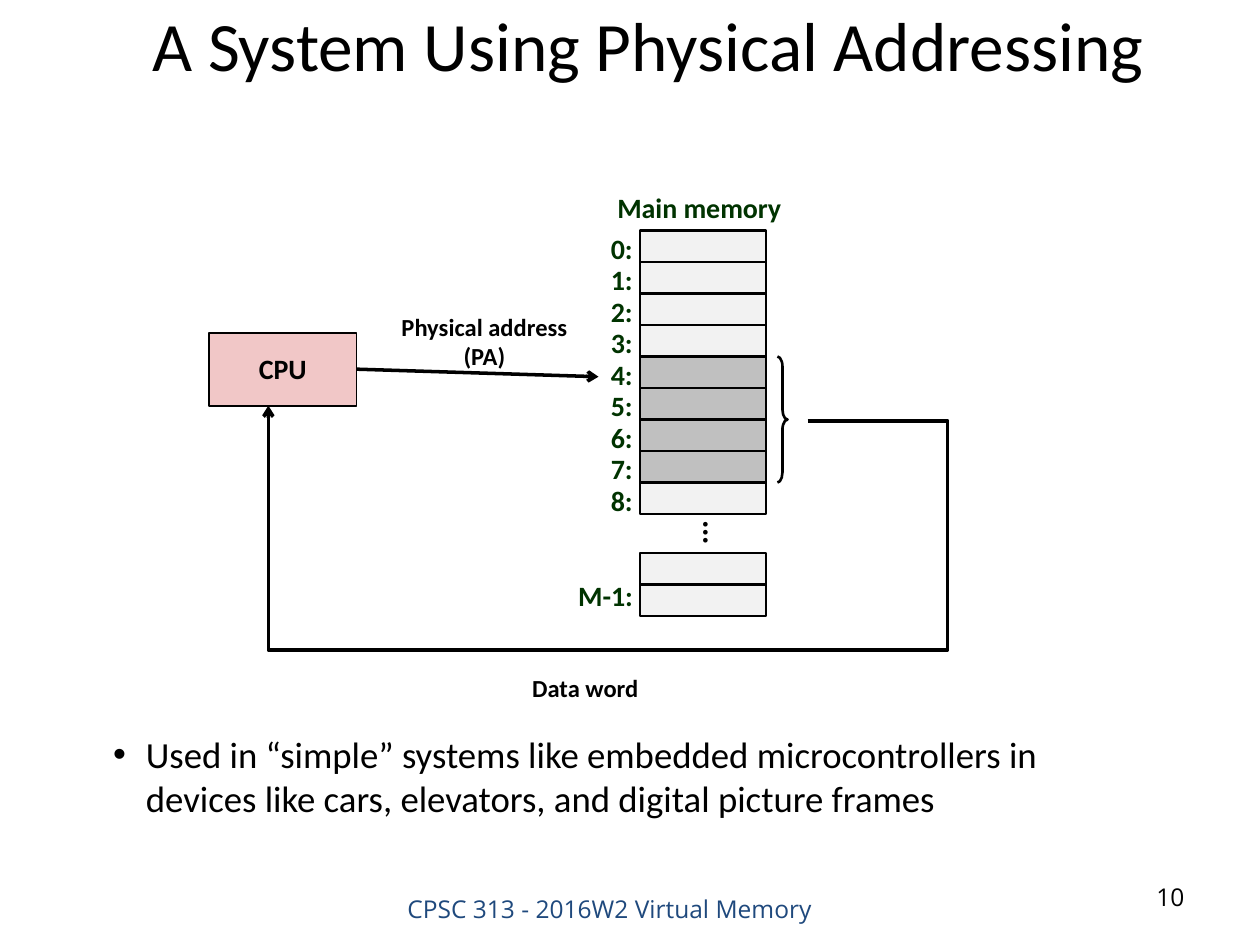
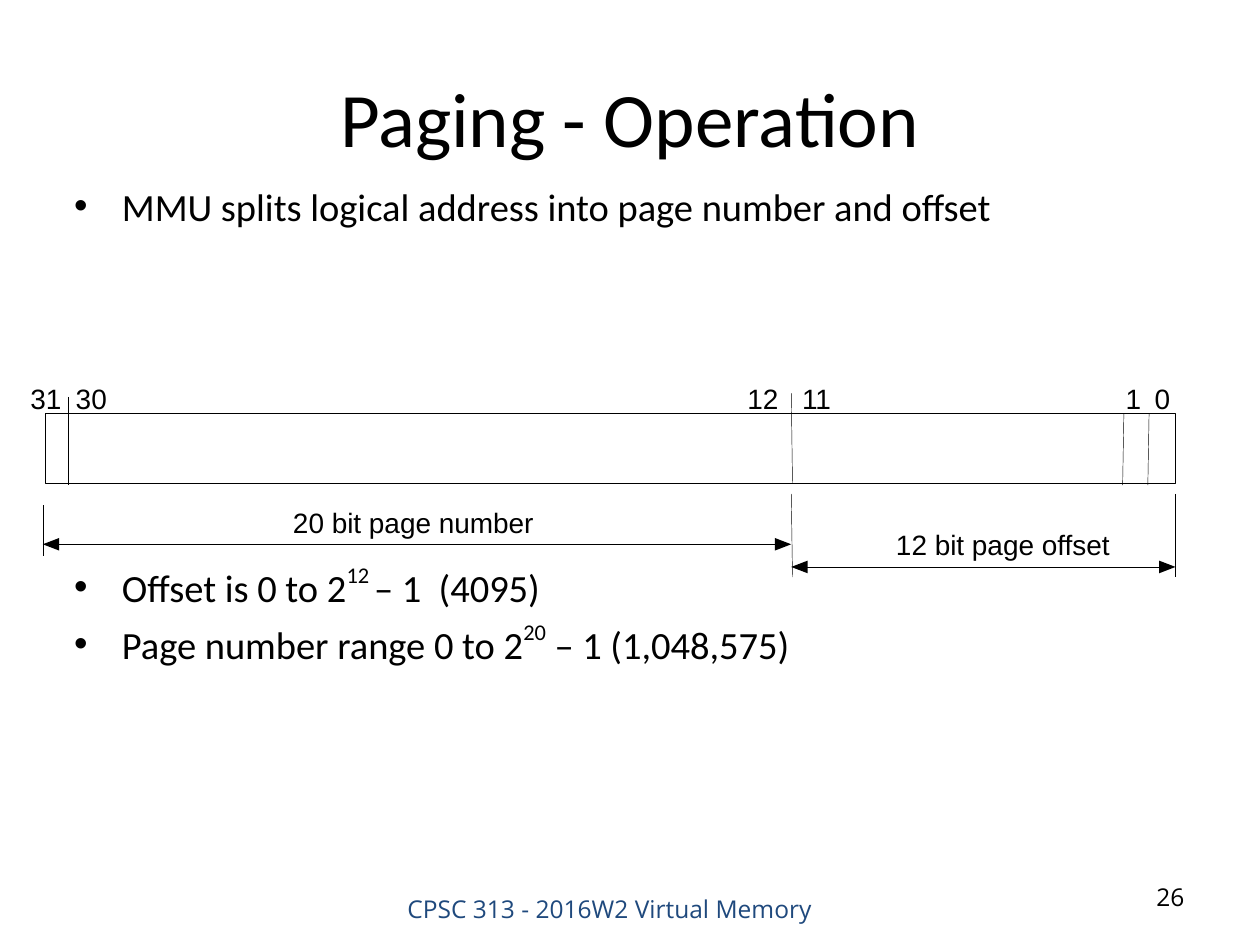
from lxml import etree
from pptx import Presentation
from pptx.dml.color import RGBColor
from pptx.enum.shapes import MSO_CONNECTOR, MSO_SHAPE
from pptx.enum.text import MSO_ANCHOR, MSO_AUTO_SIZE, PP_ALIGN
from pptx.oxml.ns import qn
from pptx.util import Inches, Pt

LEFT, CENTER, RIGHT = PP_ALIGN.LEFT, PP_ALIGN.CENTER, PP_ALIGN.RIGHT
TOP, MIDDLE = MSO_ANCHOR.TOP, MSO_ANCHOR.MIDDLE
NO_AUTOFIT = MSO_AUTO_SIZE.NONE
RECTANGLE, RIGHT_BRACE = MSO_SHAPE.RECTANGLE, MSO_SHAPE.RIGHT_BRACE
STRAIGHT = MSO_CONNECTOR.STRAIGHT

THEME = {
    "font": "Calibri", "footer_font": "Open Sans", "diagram_font": "Arial",
    "black": "000000", "footer": "1F497D", "memory": "003300",
    "cpu": "F1C7C7", "cell": "F2F2F2", "word": "C0C0C0",
    "small": 14, "label": 16, "dots": 18, "body": 21, "paging_body": 22,
    "title": 39.6, "paging_title": 44, "hairline": 0.25,
}


def write(shape, text, size, color="black", font="font", bold=False,
          align=LEFT, anchor=TOP, wrap=False, spacing=None):
    frame = shape.text_frame
    frame.text = text
    frame.auto_size = NO_AUTOFIT
    frame.word_wrap = wrap
    frame.vertical_anchor = anchor
    for paragraph in frame.paragraphs:
        paragraph.alignment = align
        paragraph.line_spacing = spacing
        for run in paragraph.runs:
            run.font.size = Pt(THEME[size])
            run.font.name = THEME[font]
            run.font.bold = bold
            run.font.color.rgb = RGBColor.from_string(THEME[color])


def paint(shape, weight, fill=None, arrow=False):
    if weight is None:
        shape.line.fill.background()
    else:
        shape.line.color.rgb = RGBColor.from_string(THEME["black"])
        shape.line.width = Pt(weight)
    properties = shape.element.spPr
    if arrow:
        etree.SubElement(properties.find(qn("a:ln")), qn("a:tailEnd"), type="arrow")
    if not hasattr(shape, "fill"):
        etree.SubElement(properties, qn("a:effectLst"))
        return
    shape.shadow.inherit = False
    if fill:
        shape.fill.solid()
        shape.fill.fore_color.rgb = RGBColor.from_string(THEME[fill])
    else:
        shape.fill.background()


presentation = Presentation()
presentation.slide_width, presentation.slide_height = Inches(10), Inches(7.5)

slides = []
for title_text, title_size, title_box, number in (
    ("A System Using Physical Addressing", "title", (0.38, 0, 9.53, 0.7), "10"),
    ("Paging - Operation", "paging_title", (0.5, 0.3, 9, 1.25), "26"),
):
    slide = presentation.slides.add_slide(presentation.slide_layouts[5])
    title = slide.shapes.title
    title.left, title.top, title.width, title.height = map(Inches, title_box)
    write(title, title_text, title_size, align=CENTER, anchor=MIDDLE, wrap=True)
    footer = slide.shapes.add_textbox(*map(Inches, (2.71, 7.05, 4.26, 0.3)))
    write(footer, "CPSC 313 - 2016W2 Virtual Memory", "small", "footer",
          "footer_font", align=CENTER, wrap=True)
    page = slide.shapes.add_textbox(*map(Inches, (7.17, 6.95, 2.33, 0.4)))
    write(page, number, "small", font="footer_font", align=RIGHT, wrap=True)
    slides.append(slide)
addressing, paging = (slide.shapes for slide in slides)

usage = addressing.add_textbox(*map(Inches, (0.8, 5.76, 8.04, 0.81)))
write(usage, "Used in “simple” systems like embedded microcontrollers in devices "
      "like cars, elevators, and digital picture frames", "body", wrap=True)

cpu = addressing.add_shape(RECTANGLE, *map(Inches, (1.66, 2.64, 1.17, 0.58)))
paint(cpu, 1, "cpu")
write(cpu, "CPU", "label", bold=True, align=CENTER, anchor=MIDDLE, spacing=0.98)

CELL_LEFT, CELL_TOP, CELL_WIDTH, CELL_HEIGHT = 5.08, 1.83, 1, 0.25
cells = [(CELL_TOP + CELL_HEIGHT * index, f"{index}:") for index in range(9)]
cells += [(4.39, ""), (4.39 + CELL_HEIGHT, "M-1:")]
for index, (top, address) in enumerate(cells):
    cell = addressing.add_shape(
        RECTANGLE, *map(Inches, (CELL_LEFT, top, CELL_WIDTH, CELL_HEIGHT)))
    paint(cell, 1.5, "word" if 4 <= index <= 7 else "cell")
    if address:
        left, width, lift = (4.75, 0.37, 0.01) if len(address) == 2 else (4.49, 0.64, 0.06)
        label = addressing.add_textbox(*map(Inches, (left, top - lift, width, 0.33)))
        write(label, address, "label", "memory", bold=True, spacing=0.88)

heading = addressing.add_textbox(*map(Inches, (4.79, 1.5, 1.52, 0.33)))
write(heading, "Main memory", "label", "memory", bold=True, align=CENTER, spacing=0.88)

for text, box in (
    ("Physical address\n(PA)", (3.08, 2.44, 1.53, 0.56)),
    ("Data word", (4.12, 5.3, 1.05, 0.33)),
):
    caption = addressing.add_textbox(*map(Inches, box))
    write(caption, text, "small", bold=True, align=CENTER, anchor=MIDDLE, spacing=0.98)

dots = addressing.add_textbox(*map(Inches, (5.17, 4.03, 1, 0.25)))
write(dots, "...", "dots", bold=True, align=CENTER, anchor=MIDDLE, spacing=0.98)
dots.text_frame._txBody.bodyPr.set("vert", "eaVert")

brace = addressing.add_shape(RIGHT_BRACE, *map(Inches, (6.17, 2.83, 0.08, 1)))
brace.adjustments[0] = 1
paint(brace, 1.5)

address_arrow = addressing.add_connector(
    STRAIGHT, *map(Inches, (2.83, 2.93, 4.75, 2.99)))
address_arrow.begin_connect(cpu, 3)
paint(address_arrow, 2, arrow=True)

builder = addressing.build_freeform(Inches(6.41), Inches(3.34))
builder.add_line_segments(
    [(Inches(x), Inches(y)) for x, y in
     ((7.52, 3.34), (7.52, 5.16), (2.13, 5.16), (2.13, 3.22))], close=False)
paint(builder.convert_to_shape(), 2, arrow=True)

facts = paging.add_textbox(*map(Inches, (0.49, 1.4, 8.83, 5.57)))
write(facts, "MMU splits logical address into page number and offset\n"
      "Offset is 0 to 2\nPage number range 0 to 2", "paging_body", wrap=True)
_, offset_range, page_range = facts.text_frame.paragraphs
for paragraph, gap, exponent, remainder in (
    (offset_range, 190, "12 ", "– 1  (4095)"),
    (page_range, 4.4, "20", " – 1 (1,048,575)"),
):
    paragraph.space_before = Pt(gap)
    for text, baseline in ((exponent, "50000"), (remainder, "0")):
        run = paragraph.add_run()
        run.text = text
        run.font.size = Pt(THEME["paging_body"])
        run.font.name = THEME["font"]
        run.font.color.rgb = RGBColor.from_string(THEME["black"])
        run.font._element.set("baseline", baseline)

address_bar = paging.add_shape(RECTANGLE, *map(Inches, (0.36, 3.28, 8.97, 0.56)))
paint(address_bar, THEME["hairline"])

for ends in (
    (9.12, 3.28, 9.11, 3.85), (8.92, 3.28, 8.91, 3.85),
    (6.28, 3.12, 6.29, 3.84), (0.54, 3.15, 0.54, 3.85),
    (9.33, 3.92, 9.33, 4.58), (6.28, 3.92, 6.29, 4.58),
    (0.34, 4.01, 0.34, 4.41),
):
    paint(paging.add_connector(STRAIGHT, *map(Inches, ends)), THEME["hairline"])

HEAD_LENGTH, HEAD_HALF = 0.13, 0.05
for start, end, level in ((0.34, 6.28, 4.32), (6.28, 9.33, 4.5)):
    span = paging.add_connector(
        STRAIGHT, *map(Inches, (start + 0.1, level, end - 0.1, level)))
    paint(span, THEME["hairline"])
    for tip, base in ((start, start + HEAD_LENGTH), (end, end - HEAD_LENGTH)):
        builder = paging.build_freeform(Inches(tip), Inches(level))
        builder.add_line_segments(
            [(Inches(base), Inches(level + side)) for side in (HEAD_HALF, -HEAD_HALF)])
        paint(builder.convert_to_shape(), None, "black")

for text, left, top, width in (
    ("20 bit page number", 2.17, 3.96, 2.22),
    ("12 bit page offset", 6.96, 4.14, 2),
    ("0", 9.02, 2.98, 0.41), ("1", 8.79, 2.98, 0.41),
    ("11", 6.22, 2.98, 0.52), ("12", 5.79, 2.98, 0.53),
    ("30", 0.46, 2.98, 0.53), ("31", 0.1, 2.98, 0.53),
):
    label = paging.add_textbox(*map(Inches, (left, top, width, 0.36)))
    write(label, text, "label", font="diagram_font", align=CENTER)

for body, indent in ((usage, 0.26), (facts, 0.38)):
    for paragraph in body.text_frame.paragraphs:
        properties = paragraph._p.get_or_add_pPr()
        properties.set("marL", str(Inches(indent)))
        properties.set("indent", str(-Inches(indent)))
        etree.SubElement(properties, qn("a:buFont"), typeface=THEME["diagram_font"])
        etree.SubElement(properties, qn("a:buChar"), char="•")

presentation.save("out.pptx")
